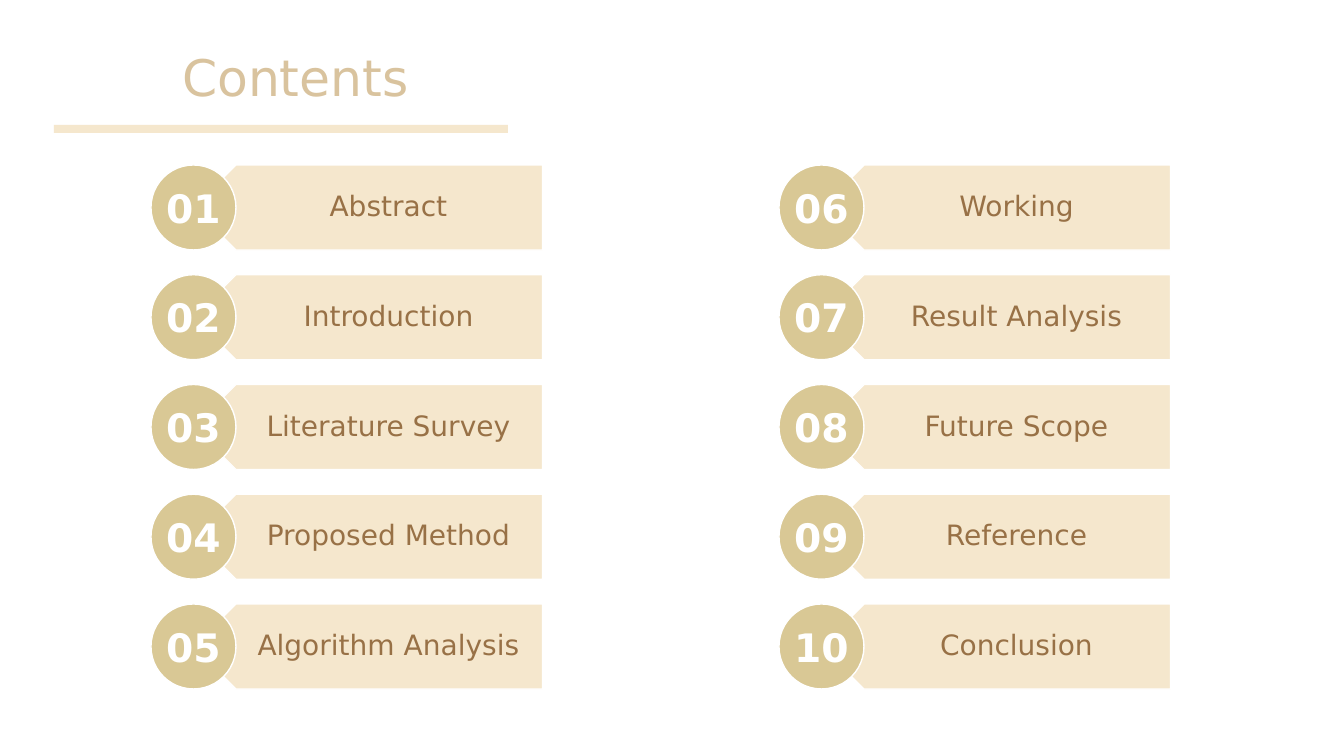
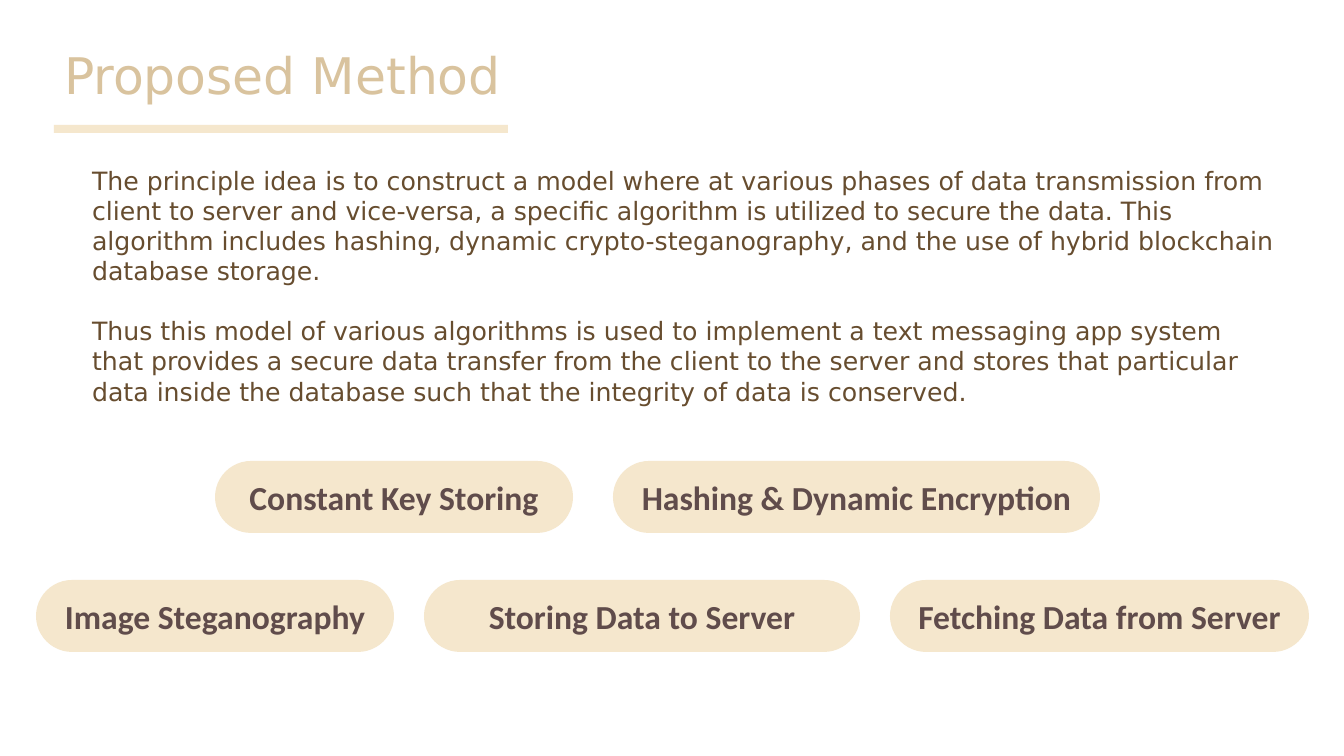
from lxml.etree import SubElement
from pptx import Presentation
from pptx.dml.color import RGBColor
from pptx.enum.shapes import MSO_SHAPE
from pptx.enum.text import MSO_ANCHOR, MSO_AUTO_SIZE, PP_ALIGN
from pptx.oxml.ns import qn
from pptx.util import Pt

COLORS = {
    "sand": "F5E7CD",
    "title": "D9C39E",
    "number": "D9C895",
    "topic": "987146",
    "body": "674D2F",
    "step": "604C4B",
    "white": "FFFFFF",
}
TEXT_FONT = "DejaVu Sans"
STEP_FONT = "Calibri"

CONTENTS = {
    "title": "Contents",
    "title_box": (172, 41, 292, 72),
    "columns": [
        (151, ["Abstract", "Introduction", "Literature Survey",
               "Proposed Method", "Algorithm Analysis"]),
        (779, ["Working", "Result Analysis", "Future Scope",
               "Reference", "Conclusion"]),
    ],
}
METHOD = {
    "title": "Proposed Method",
    "title_box": (54, 39, 485, 72),
    "paragraphs": [
        "The principle idea is to construct a model where at various phases of "
        "data transmission from client to server and vice-versa, a specific "
        "algorithm is utilized to secure the data. This algorithm includes "
        "hashing, dynamic crypto-steganography, and the use of hybrid "
        "blockchain database storage.",
        "Thus this model of various algorithms is used to implement a text "
        "messaging app system that provides a secure data transfer from the "
        "client to the server and stores that particular data inside the "
        "database such that the integrity of data is conserved.",
    ],
    "step_rows": [
        {"left": 215, "top": 461, "gap": 40,
         "steps": [("Constant Key Storing", 358),
                   ("Hashing & Dynamic Encryption", 487)]},
        {"left": 36, "top": 580, "gap": 30,
         "steps": [("Image Steganography", 358),
                   ("Storing Data to Server", 436),
                   ("Fetching Data from Server", 419)]},
    ],
}

SLIDE_WIDTH, SLIDE_HEIGHT = 1344, 756
EMU_PER_PX = 12192000 / SLIDE_WIDTH
TITLE_RULE = (54, 125, 454, 8)
BODY_BOX = (82, 160, 1205, 254)
FIRST_ROW, LAST_ROW = 165, 604
CIRCLE = 85
BAR_WIDTH = 349
TOPIC_OFFSET, TOPIC_WIDTH = 63, 328
TOPIC_INSETS = (37, 8, 16, 8)
STEP_HEIGHT = 72


def px(length):
    return round(length * EMU_PER_PX)


def place(shape, box):
    shape.left, shape.top, shape.width, shape.height = map(px, box)


def add_filled(slide, kind, box, fill, outline=None):
    shape = slide.shapes.add_shape(kind, *map(px, box))
    shape.shadow.inherit = False
    shape.fill.solid()
    shape.fill.fore_color.rgb = RGBColor.from_string(COLORS[fill])
    if outline:
        shape.line.color.rgb = RGBColor.from_string(COLORS[outline])
        shape.line.width = Pt(1)
    else:
        shape.line.fill.background()
    return shape


def set_insets(frame, insets):
    (frame.margin_left, frame.margin_top,
     frame.margin_right, frame.margin_bottom) = map(px, insets)


def write(shape, text, size, color, font=TEXT_FONT, bold=False,
          align=PP_ALIGN.CENTER, anchor=MSO_ANCHOR.MIDDLE):
    frame = shape.text_frame
    frame.text = text
    frame.word_wrap = True
    frame.auto_size = MSO_AUTO_SIZE.NONE
    frame.vertical_anchor = anchor
    for paragraph in frame.paragraphs:
        paragraph.alignment = align
        for run in paragraph.runs:
            run.font.size = Pt(size)
            run.font.name = font
            run.font.bold = bold
            run.font.color.rgb = RGBColor.from_string(COLORS[color])


def start_slide(deck, layout, content):
    slide = deck.slides.add_slide(deck.slide_layouts[layout])
    add_filled(slide, MSO_SHAPE.RECTANGLE, TITLE_RULE, "sand")
    title = slide.shapes.title
    place(title, content["title_box"])
    write(title, content["title"], 36, "title",
          align=PP_ALIGN.LEFT, anchor=MSO_ANCHOR.TOP)
    return slide


def add_topic(slide, left, top, number, topic):
    bar = add_filled(slide, MSO_SHAPE.PENTAGON,
                     (left + CIRCLE / 2, top, BAR_WIDTH, CIRCLE), "sand", "white")
    bar.rotation = 180
    label = slide.shapes.add_textbox(
        *map(px, (left + TOPIC_OFFSET, top, TOPIC_WIDTH, CIRCLE)))
    set_insets(label.text_frame, TOPIC_INSETS)
    write(label, topic, 20, "topic")
    label.text_frame.paragraphs[0].line_spacing = 0.9
    circle = add_filled(slide, MSO_SHAPE.OVAL,
                        (left, top, CIRCLE, CIRCLE), "number", "white")
    set_insets(circle.text_frame, (0, 0, 0, 0))
    write(circle, f"{number:02d}", 28, "white", bold=True)


def build_contents(deck):
    slide = start_slide(deck, 5, CONTENTS)
    number = 0
    for left, topics in CONTENTS["columns"]:
        pitch = (LAST_ROW - FIRST_ROW) / (len(topics) - 1)
        for row, topic in enumerate(topics):
            number += 1
            add_topic(slide, left, FIRST_ROW + row * pitch, number, topic)


def build_method(deck):
    slide = start_slide(deck, 1, METHOD)
    body = slide.placeholders[1]
    place(body, BODY_BOX)
    write(body, "\n".join(METHOD["paragraphs"]), 18, "body",
          align=PP_ALIGN.LEFT, anchor=MSO_ANCHOR.TOP)
    for index, paragraph in enumerate(body.text_frame.paragraphs):
        properties = paragraph._p.get_or_add_pPr()
        properties.set("marL", "0")
        properties.set("indent", "0")
        SubElement(properties, qn("a:buNone"))
        paragraph.space_before = Pt(21 if index else 0)

    for row in METHOD["step_rows"]:
        left = row["left"]
        for step, width in row["steps"]:
            pill = add_filled(slide, MSO_SHAPE.ROUNDED_RECTANGLE,
                              (left, row["top"], width, STEP_HEIGHT), "sand")
            pill.adjustments[0] = 0.5
            write(pill, step, 24, "step", font=STEP_FONT, bold=True)
            left += width + row["gap"]


def main():
    deck = Presentation()
    deck.slide_width, deck.slide_height = px(SLIDE_WIDTH), px(SLIDE_HEIGHT)
    build_contents(deck)
    build_method(deck)
    deck.save("out.pptx")


if __name__ == "__main__":
    main()
